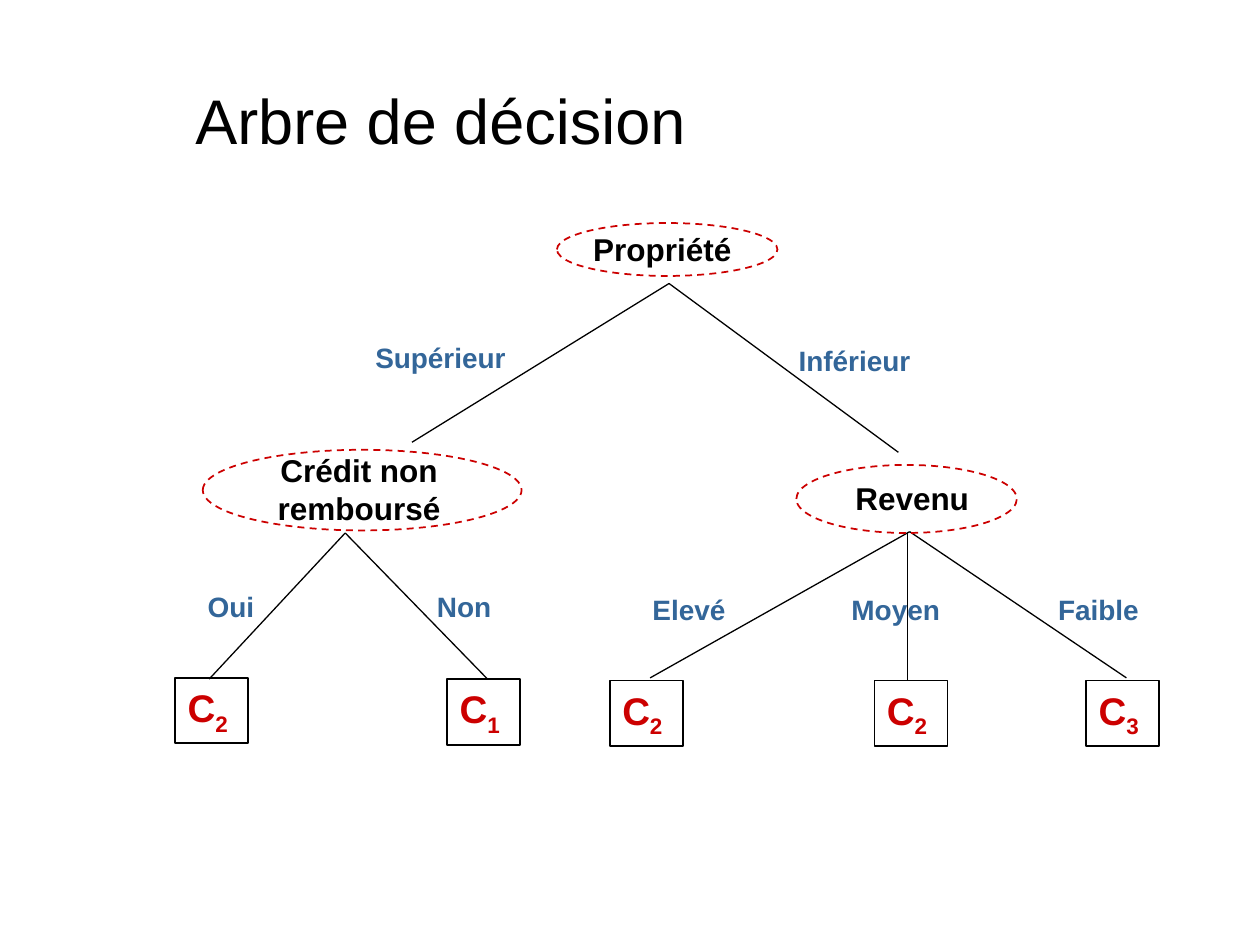
"""Build a slide showing a decision tree in French."""
from lxml.etree import SubElement
from pptx import Presentation
from pptx.dml.color import RGBColor
from pptx.enum.dml import MSO_LINE_DASH_STYLE as Dash
from pptx.enum.shapes import MSO_CONNECTOR as Connector, MSO_SHAPE as Shape
from pptx.enum.text import MSO_ANCHOR as Anchor, MSO_AUTO_SIZE as AutoSize, PP_ALIGN as Align
from pptx.oxml.ns import qn
from pptx.util import Inches, Pt


def color(value):
    return RGBColor.from_string(value)


def style(para, size, value, bold=True, align=Align.LEFT):
    para.alignment = align
    para.font.name = "Arial"
    para.font.size = Pt(size)
    para.font.bold = bold
    para.font.color.rgb = color(value)


BLACK, RED, BLUE = "000000", "CC0000", "336699"

deck = Presentation()
deck.slide_width, deck.slide_height = Inches(10), Inches(7.5)
slide = deck.slides.add_slide(deck.slide_layouts[5])
shapes = slide.shapes

title = shapes.title
title.left, title.top = Inches(1.45), Inches(0.6)
title.width, title.height = Inches(9), Inches(0.7)
title.text_frame.text = "Arbre de décision"
title.text_frame.vertical_anchor = Anchor.TOP
title.text_frame.margin_top = Inches(0.05)
style(title.text_frame.paragraphs[0], 36, BLACK, bold=False)

root, credit, income = (5.31, 2.25), (2.74, 4.23), (7.22, 4.22)
branches = [
    (root, (3.27, 3.51)),
    (root, (7.13, 3.59)),
    (credit, (1.66, 5.39)),
    (credit, (3.87, 5.39)),
    (income, (5.16, 5.38)),
    ((7.2, 4.22), (7.2, 5.4)),
    (income, (8.94, 5.38)),
]
for start, end in branches:
    branch = shapes.add_connector(
        Connector.STRAIGHT, *[Inches(value) for value in start + end])
    branch.line.color.rgb = color(BLACK)
    branch.line.width = Pt(0.75)
    SubElement(branch._element.spPr, qn("a:effectLst"))

labels = [
    ("Propriété", 4.61, 1.78, 1.3, 0.4, 18, BLACK, Align.LEFT),
    ("Crédit non\nremboursé", 2.07, 3.53, 1.56, 0.7, 18, BLACK, Align.CENTER),
    ("Revenu", 6.69, 3.75, 1.1, 0.4, 18, BLACK, Align.LEFT),
    ("Supérieur", 2.88, 2.65, 1.25, 0.37, 16, BLUE, Align.LEFT),
    ("Inférieur", 6.24, 2.68, 1.1, 0.37, 16, BLUE, Align.LEFT),
    ("Oui", 1.55, 4.63, 0.57, 0.37, 16, BLUE, Align.LEFT),
    ("Non", 3.37, 4.63, 0.63, 0.37, 16, BLUE, Align.LEFT),
    ("Elevé", 5.08, 4.65, 0.78, 0.37, 16, BLUE, Align.LEFT),
    ("Moyen", 6.66, 4.65, 0.9, 0.37, 16, BLUE, Align.LEFT),
    ("Faible", 8.3, 4.65, 0.84, 0.37, 16, BLUE, Align.LEFT),
]
for text, left, top, width, height, size, value, align in labels:
    box = shapes.add_textbox(
        Inches(left), Inches(top), Inches(width), Inches(height))
    box.text_frame.word_wrap = False
    box.text_frame.auto_size = AutoSize.SHAPE_TO_FIT_TEXT
    box.text_frame.text = text
    for para in box.text_frame.paragraphs:
        style(para, size, value, align=align)

nodes = [
    (4.42, 1.77, 1.75, 0.42),
    (1.61, 3.57, 2.53, 0.64),
    (6.32, 3.69, 1.75, 0.54),
]
for bounds in nodes:
    node = shapes.add_shape(Shape.OVAL, *[Inches(value) for value in bounds])
    node.shadow.inherit = False
    node.fill.background()
    node.line.color.rgb = color(RED)
    node.line.width = Pt(1)
    node.line.dash_style = Dash.DASH

leaves = [
    ("2", 1.39, 5.38),
    ("1", 3.55, 5.39),
    ("2", 4.84, 5.4),
    ("2", 6.94, 5.4),
    ("3", 8.62, 5.4),
]
for number, left, top in leaves:
    leaf = shapes.add_shape(
        Shape.RECTANGLE, Inches(left), Inches(top), Inches(0.58), Inches(0.52))
    leaf.shadow.inherit = False
    leaf.fill.background()
    leaf.line.color.rgb = color(BLACK)
    leaf.line.width = Pt(1)
    leaf.text_frame.word_wrap = True
    leaf.text_frame.vertical_anchor = Anchor.TOP
    para = leaf.text_frame.paragraphs[0]
    style(para, 22, RED)
    para.add_run().text = "C"
    span = para.add_run()
    span.text = number
    span._r.get_or_add_rPr().set("baseline", "-25000")

deck.save("out.pptx")
